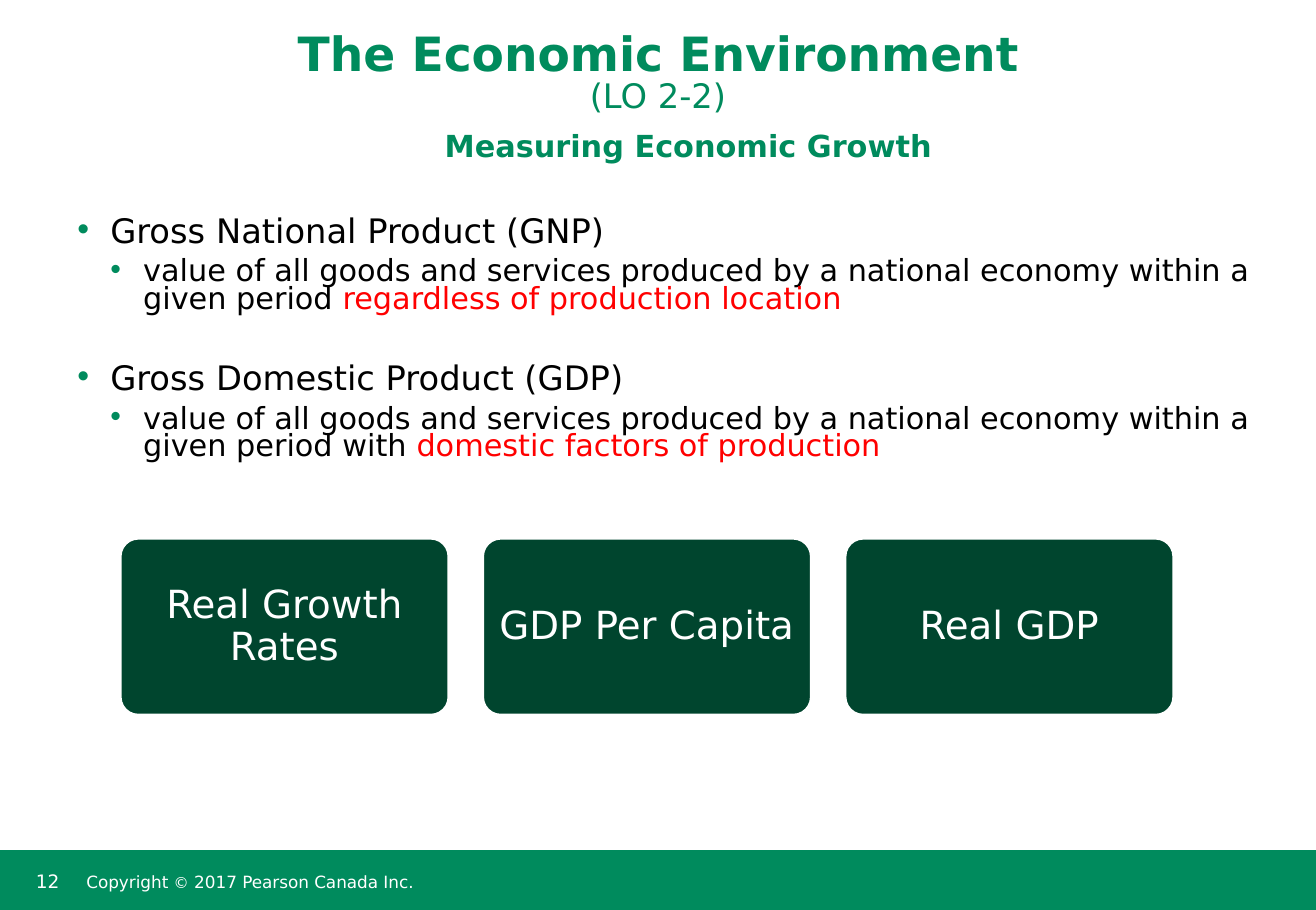
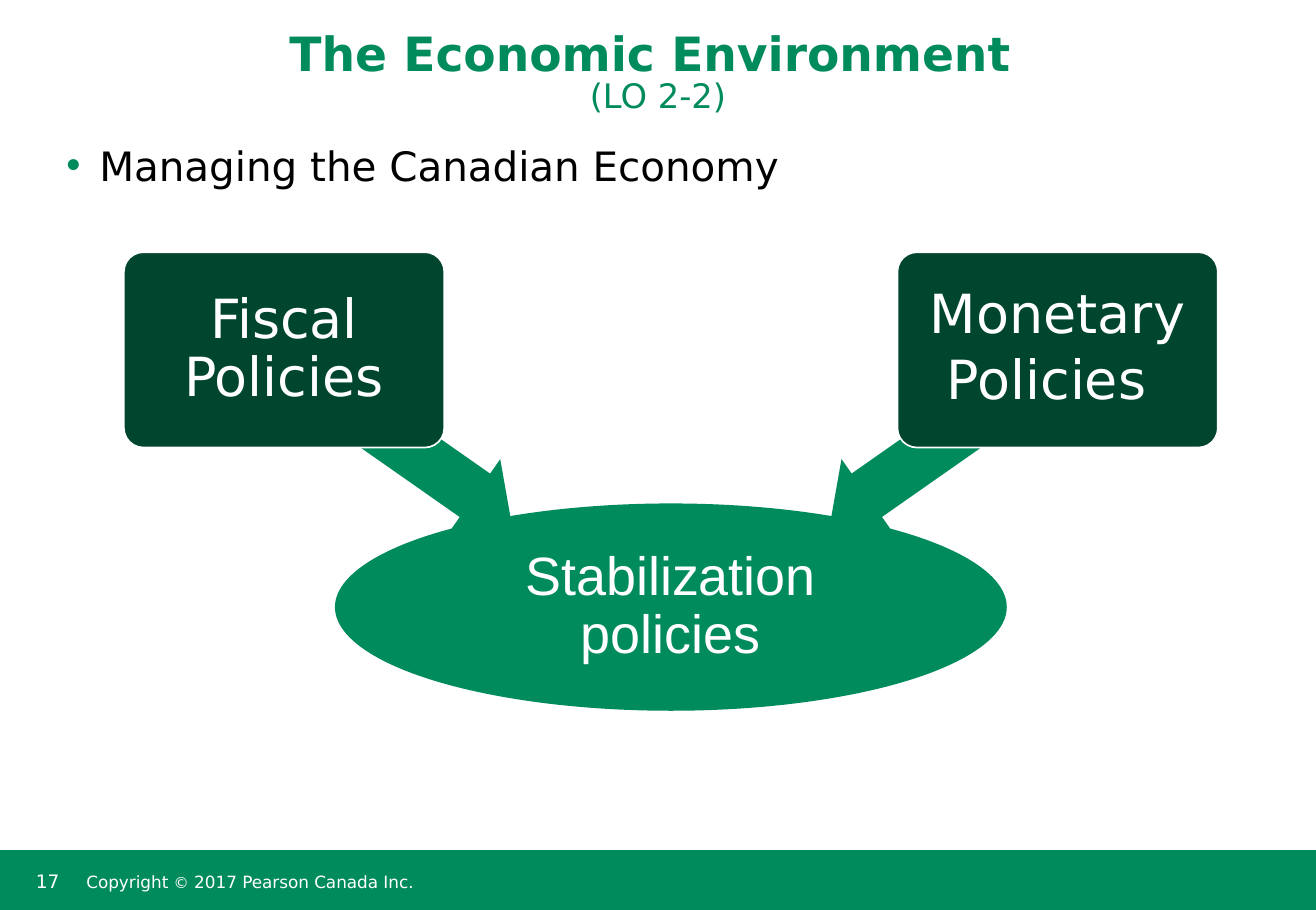
import dataclasses

import lxml.etree
import pptx
import pptx.dml.color
import pptx.enum.shapes
import pptx.enum.text
import pptx.oxml.ns
import pptx.util

Cm = pptx.util.Cm
Pt = pptx.util.Pt
ALIGN = pptx.enum.text.PP_ALIGN
ANCHOR = pptx.enum.text.MSO_ANCHOR
SHAPE = pptx.enum.shapes.MSO_SHAPE


@dataclasses.dataclass(frozen=True)
class Theme:
    # Page, in centimetres
    width: float = 27.56
    height: float = 19.05
    band_top: float = 17.8
    # Colours
    green: str = "008B5D"
    dark_green: str = "00452E"
    red: str = "FF0000"
    black: str = "000000"
    white: str = "FFFFFF"
    # Fonts and type sizes
    font: str = "DejaVu Sans"
    alternate_font: str = "Arial"
    title: int = 28
    objective: int = 20
    subtitle: int = 18
    lead: int = 24
    bullet: int = 20
    detail: int = 18
    card: int = 23
    diagram: int = 32
    trailing: int = 37
    number: int = 11
    copyright: int = 10
    copyright_sign: int = 9


THEME = Theme()


def rgb(color):
    return pptx.dml.color.RGBColor.from_string(color)


def add_text(paragraph, text, size, color=THEME.white, bold=False, font=THEME.font):
    run = paragraph.add_run()
    run.text = text
    run.font.size = Pt(size)
    run.font.color.rgb = rgb(color)
    run.font.bold = bold
    run.font.name = font


def format_paragraph(paragraph, align=ALIGN.LEFT, line=1.0, before=0, after=0):
    paragraph.alignment = align
    paragraph.line_spacing = line
    paragraph.space_before = Pt(before)
    paragraph.space_after = Pt(after)


def add_bullet(paragraph, level):
    properties = paragraph._p.get_or_add_pPr()
    indent = Cm(0.69)
    properties.set("marL", str(indent * (level + 1)))
    properties.set("indent", str(-indent))
    tag = pptx.oxml.ns.qn
    color = lxml.etree.SubElement(properties, tag("a:buClr"))
    lxml.etree.SubElement(color, tag("a:srgbClr"), val=THEME.green)
    lxml.etree.SubElement(properties, tag("a:buFont"), typeface="Arial")
    lxml.etree.SubElement(properties, tag("a:buChar"), char="•")


class Deck:
    def __init__(self):
        self.presentation = pptx.Presentation()
        self.presentation.slide_width = Cm(THEME.width)
        self.presentation.slide_height = Cm(THEME.height)
        self.slide = None

    def frame(self, shape, anchor, insets):
        frame = shape.text_frame
        frame.word_wrap = True
        frame.vertical_anchor = anchor
        (frame.margin_left, frame.margin_top,
         frame.margin_right, frame.margin_bottom) = map(Cm, insets)
        return frame

    def text_box(self, left, top, width, height, anchor=ANCHOR.TOP,
                 insets=(0.25, 0.13, 0.25, 0.13)):
        box = self.slide.shapes.add_textbox(Cm(left), Cm(top), Cm(width), Cm(height))
        return self.frame(box, anchor, insets)

    def shape(self, kind, left, top, width, height, fill, outlined=False):
        shape = self.slide.shapes.add_shape(
            kind, Cm(left), Cm(top), Cm(width), Cm(height))
        shape.shadow.inherit = False
        shape.fill.solid()
        shape.fill.fore_color.rgb = rgb(fill)
        if outlined:
            shape.line.color.rgb = rgb(THEME.white)
            shape.line.width = Pt(1)
        else:
            shape.line.fill.background()
        return shape

    def label(self, shape, text, size, inset, font=THEME.font):
        paragraph = self.frame(shape, ANCHOR.MIDDLE, (inset,) * 4).paragraphs[0]
        format_paragraph(paragraph, ALIGN.CENTER, 0.9)
        add_text(paragraph, text, size, font=font)
        return paragraph

    def card(self, text, left, top, width, height, size):
        card = self.shape(SHAPE.ROUNDED_RECTANGLE, left, top, width, height,
                          THEME.dark_green, outlined=True)
        card.adjustments[0] = 0.1
        return self.label(card, text, size, 0.13)

    def arrow(self, center, top, width, height, rotation):
        arrow = self.shape(SHAPE.LEFT_ARROW, center - width / 2, top,
                           width, height, THEME.green)
        arrow.adjustments[0] = 0.6
        arrow.adjustments[1] = 0.5
        arrow.rotation = rotation

    def bullets(self, frame, items, line):
        """Each item holds a level, the space before it, and (text, size, color) runs."""
        for index, (level, before, runs) in enumerate(items):
            paragraph = frame.add_paragraph() if index else frame.paragraphs[0]
            format_paragraph(paragraph, line=line, before=before, after=6.5)
            paragraph.level = level
            add_bullet(paragraph, level)
            for text, size, color in runs:
                add_text(paragraph, text, size, color)

    def new_slide(self, number, title):
        self.slide = self.presentation.slides.add_slide(
            self.presentation.slide_layouts[6])
        # Footer band
        self.shape(SHAPE.RECTANGLE, 0, THEME.band_top, THEME.width,
                   THEME.height - THEME.band_top, THEME.green)
        paragraph = self.text_box(0.5, 18.08, 1.2, 0.82).paragraphs[0]
        add_text(paragraph, str(number), THEME.number)
        paragraph = self.text_box(1.68, THEME.band_top, 14.68, 1.26, ANCHOR.MIDDLE,
                                  (0.13, 0.25, 0.13, 0.13)).paragraphs[0]
        format_paragraph(paragraph, line=0.85)
        add_text(paragraph, "Copyright ", THEME.copyright)
        add_text(paragraph, "©", THEME.copyright_sign)
        add_text(paragraph, " 2017 Pearson Canada Inc.", THEME.copyright)
        # Title
        paragraph = self.text_box(0, 0, THEME.width, 2.54, ANCHOR.BOTTOM).paragraphs[0]
        format_paragraph(paragraph, ALIGN.CENTER, 0.85, after=6.5)
        add_text(paragraph, title, THEME.title, THEME.green, bold=True)
        paragraph.add_line_break()
        add_text(paragraph, "(LO 2-2)", THEME.objective, THEME.green)


def growth_slide(deck):
    deck.new_slide(12, "The Economic Environment")

    # Subtitle
    paragraph = deck.text_box(1.27, 2.54, 26.29, 1.47).paragraphs[0]
    format_paragraph(paragraph, ALIGN.CENTER)
    add_text(paragraph, "Measuring Economic Growth", THEME.subtitle, THEME.green, bold=True)

    # Definitions
    value = "value of all goods and services produced by a national economy within a given period "
    definitions = [
        ("Gross National Product (GNP)", value, "regardless of production location"),
        ("Gross Domestic Product (GDP)", value + "with ", "domestic factors of production"),
    ]
    items = []
    for index, (term, meaning, emphasis) in enumerate(definitions):
        items.append((0, 24 * index, [(term, THEME.bullet, THEME.black)]))
        items.append((1, 0, [(meaning, THEME.detail, THEME.black),
                             (emphasis, THEME.detail, THEME.red)]))
    deck.bullets(deck.text_box(1.37, 4.45, 25.27, 6.15), items, 0.75)

    # Measures
    for index, measure in enumerate(["Real Growth Rates", "GDP Per Capita", "Real GDP"]):
        deck.card(measure, 2.53 + 7.59 * index, 11.28, 6.86, 3.68, THEME.card)


def policies_slide(deck):
    deck.new_slide(17, "The Economic Environment ")
    lead = ("Managing the Canadian Economy", THEME.lead, THEME.black)
    deck.bullets(deck.text_box(1.14, 2.97, 25.27, 1.96), [(0, 0, [lead])], 0.85)

    # Shared goal
    axis = 14.05
    goal_width = 14.07
    goal = deck.shape(SHAPE.OVAL, axis - goal_width / 2, 10.54, goal_width, 4.34, THEME.green)
    deck.label(goal, "Stabilization policies", THEME.diagram, 0.1, THEME.alternate_font)

    # Policies, mirrored about the axis
    card_width = 6.71
    for side, policy, rotation in [(-1, "Fiscal Policies", 215),
                                   (1, "Monetary Policies", 325)]:
        deck.arrow(axis + 5.98 * side, 8.13, 6.43, 1.85, rotation)
        paragraph = deck.card(policy, axis + 8.1 * side - card_width / 2, 5.28,
                              card_width, 4.09, THEME.diagram)
    add_text(paragraph, " ", THEME.trailing, bold=True)


def main():
    deck = Deck()
    growth_slide(deck)
    policies_slide(deck)
    deck.presentation.save("out.pptx")


if __name__ == "__main__":
    main()
